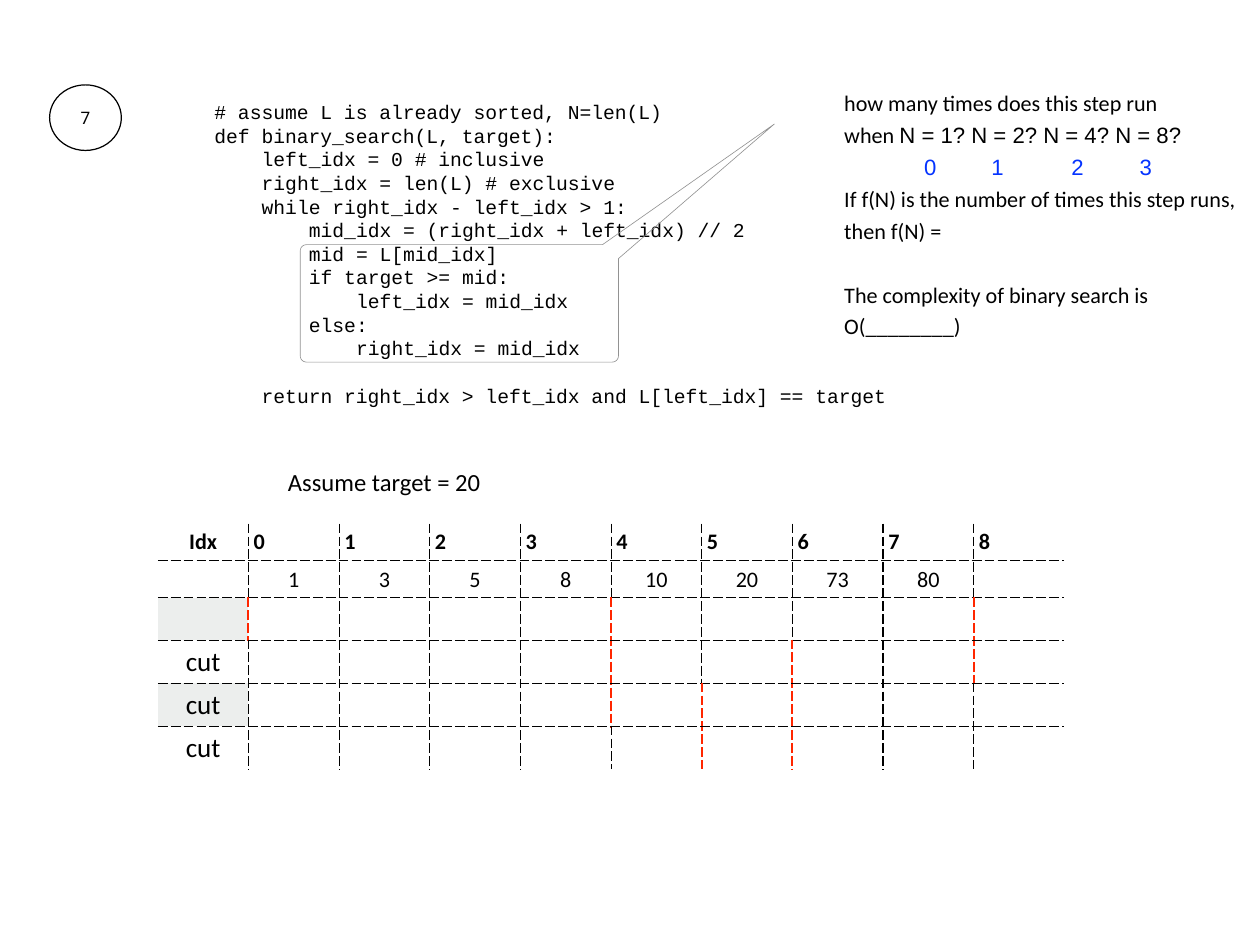
import math
import pptx
import pptx.dml.color
import pptx.enum.shapes
import pptx.enum.text
import pptx.oxml
import pptx.oxml.ns
import pptx.util

Pt = pptx.util.Pt
ALIGN = pptx.enum.text.PP_ALIGN
MIDDLE = pptx.enum.text.MSO_ANCHOR.MIDDLE
TOP = pptx.enum.text.MSO_ANCHOR.TOP

# Content
NUMBER = "7"
# (indent level, code, blank lines before)
CODE = [
    (0, "# assume L is already sorted, N=len(L)", 0),
    (0, "def binary_search(L, target):", 0),
    (1, "left_idx = 0 # inclusive", 0),
    (1, "right_idx = len(L) # exclusive", 0),
    (1, "while right_idx - left_idx > 1:", 0),
    (2, "mid_idx = (right_idx + left_idx) // 2", 0),
    (2, "mid = L[mid_idx]", 0),
    (2, "if target >= mid:", 0),
    (3, "left_idx = mid_idx", 0),
    (2, "else:", 0),
    (3, "right_idx = mid_idx", 0),
    (1, "return right_idx > left_idx and L[left_idx] == target", 1),
]
# (runs as (text, font key, colour key), space before)
QUESTIONS = [
    ([("how many times does this step run", "body", "ink")], 0),
    ([("when ", "body", "ink"), ("N = 1? N = 2? N = 4? N = 8?", "sans", "ink")], 0),
    ([("\t0\t1\t2\t3", "sans", "answer")], 0),
    ([("If f(N) is the number of times this step runs, then f(N) =", "body", "ink")], 0),
    ([("The complexity of binary search is", "body", "ink")], 26),
    ([("O(________)", "body", "ink")], 0),
]
ANSWER_TABS = [65, 119.5, 184.5, 240]
CAPTION = "Assume target = 20"
GRID = [
    ["Idx", "0", "1", "2", "3", "4", "5", "6", "7", "8"],
    ["", "1", "3", "5", "8", "10", "20", "73", "80", ""],
    [""] * 10,
    ["cut"] + [""] * 9,
    ["cut"] + [""] * 9,
    ["cut"] + [""] * 9,
]
# Index positions marked in red: left, middle and right of each step
CUTS = {2: {0, 4, 8}, 3: {4, 6, 8}, 4: {4, 5, 6}, 5: {5, 6}}
SHADED_ROWS = {2, 4}

THEME = {
    "ink": "000000", "answer": "0433FF", "cut": "FF2600",
    "callout": "929292", "shade": "ECEEED",
    "body": "Calibri", "sans": "Arial", "code": "Courier New", "badge": "Roboto",
    "badge_size": 14, "code_size": 16, "text_size": 18, "caption_size": 20, "cut_size": 22,
}
INSET = 4.3
CODE_PITCH = 19.2
CODE_INDENT = 38.4

prs = pptx.Presentation()
prs.slide_width, prs.slide_height = Pt(1024), Pt(768)
s = prs.slides.add_slide(prs.slide_layouts[6])


def rgb(key):
    return pptx.dml.color.RGBColor.from_string(THEME[key])


def add_run(p, text, font, size, colour="ink", bold=False):
    r = p.add_run()
    r.text = text
    for name, value in {"name": THEME[font], "size": Pt(THEME[size]), "bold": bold}.items():
        setattr(r.font, name, value)
    r.font.color.rgb = rgb(colour)


def set_frame(tf, wrap=True, anchor=MIDDLE, inset=INSET):
    for name, value in {"word_wrap": wrap, "vertical_anchor": anchor}.items():
        setattr(tf, name, value)
    for side in ("left", "right", "top", "bottom"):
        setattr(tf, f"margin_{side}", Pt(inset))


def add_text(left, top, width, height, **frame):
    tf = s.shapes.add_textbox(Pt(left), Pt(top), Pt(width), Pt(height)).text_frame
    set_frame(tf, **frame)
    return tf


def paragraphs(tf, items):
    for i, item in enumerate(items):
        yield (tf.add_paragraph() if i else tf.paragraphs[0]), item


def outline_only(sp, colour, width):
    sp.shadow.inherit = False
    sp.fill.background()
    sp.line.color.rgb = rgb(colour)
    sp.line.width = Pt(width)


def add_border(cell, side, colour, width):
    cell._tc.get_or_add_tcPr().append(pptx.oxml.parse_xml(
        f'<a:ln{side} {pptx.oxml.ns.nsdecls("a")} w="{Pt(width)}" cap="flat" cmpd="sng">'
        f'<a:solidFill><a:srgbClr val="{THEME[colour]}"/></a:solidFill>'
        f'<a:prstDash val="dash"/></a:ln{side}>'))


# Number badge
badge = s.shapes.add_shape(pptx.enum.shapes.MSO_SHAPE.OVAL, Pt(40.3), Pt(69), Pt(58.3), Pt(53.3))
outline_only(badge, "ink", 1)
set_frame(badge.text_frame, inset=2)
p = badge.text_frame.paragraphs[0]
p.alignment = ALIGN.CENTER
add_run(p, NUMBER, "badge", "badge_size")

# Code listing
tf = add_text(170, 78.5, 602.6, 255)
for p, (level, line, gap) in paragraphs(tf, CODE):
    p.line_spacing = Pt(CODE_PITCH)
    p.space_before = Pt(gap * CODE_PITCH)
    p._p.get_or_add_pPr().set("marL", str(Pt(level * CODE_INDENT)))
    add_run(p, line, "code", "code_size")

# Callout around the loop step, its tail leaving the top right corner
LEFT, UPPER, RIGHT, LOWER, RADIUS = 244, 198.9, 502.6, 294.3, 5


def corner(cx, cy, start):
    angles = [math.radians(start - 15 * i) for i in range(7)]
    return [(cx + RADIUS * math.cos(a), cy - RADIUS * math.sin(a)) for a in angles]


tip = (629.3, 100.8)
# Corners run anticlockwise on screen, reversed from the arc direction
outline = [(489.6, UPPER)]
for cx, cy, start in [(LEFT + RADIUS, UPPER + RADIUS, 180),
                      (LEFT + RADIUS, LOWER - RADIUS, 270),
                      (RIGHT - RADIUS, LOWER - RADIUS, 360)]:
    outline += corner(cx, cy, start)[::-1]
outline.append((RIGHT, 210.2))
builder = s.shapes.build_freeform(Pt(tip[0]), Pt(tip[1]))
builder.add_line_segments([(Pt(x), Pt(y)) for x, y in outline], close=True)
outline_only(builder.convert_to_shape(), "callout", 0.5)

# Questions
tf = add_text(681.8, 64.1, 344.2, 303.8, anchor=TOP)
for p, (runs, gap) in paragraphs(tf, QUESTIONS):
    p.line_spacing = 1.2
    p.space_before = Pt(gap)
    for text, font, colour in runs:
        add_run(p, text, font, "text_size", colour)
    if "\t" in runs[0][0]:
        stops = "".join(f'<a:tab pos="{Pt(x)}" algn="l"/>' for x in ANSWER_TABS)
        p._p.get_or_add_pPr().append(pptx.oxml.parse_xml(
            f'<a:tabLst {pptx.oxml.ns.nsdecls("a")}>{stops}</a:tabLst>'))

# Search table
ROW_HEIGHTS = [30, 30] + [34.3] * 4
COL_WIDTH = 73.7
rows, cols = len(GRID), len(GRID[0])
table = s.shapes.add_table(rows, cols, Pt(128.2), Pt(425.5),
                           Pt(COL_WIDTH * cols), Pt(sum(ROW_HEIGHTS))).table
table.first_row = table.horz_banding = False
table._tbl.tblPr.find(pptx.oxml.ns.qn("a:tableStyleId")).text = "{2D5ABB26-0587-4C30-8999-92F81FD0307C}"
for column in table.columns:
    column.width = Pt(COL_WIDTH)
for i, values in enumerate(GRID):
    table.rows[i].height = Pt(ROW_HEIGHTS[i])
    for j, value in enumerate(values):
        cell = table.cell(i, j)
        set_frame(cell, wrap=True)
        # The left side of column j is index j - 1, the right side index j
        for side, index, inside in (("L", j - 1, j > 0), ("R", j, j < cols - 1)):
            if inside:
                is_cut = index in CUTS.get(i, ())
                add_border(cell, side, "cut" if is_cut else "ink", 2 if is_cut else 1)
        for side, inside in (("T", i > 0), ("B", i < rows - 1)):
            if inside:
                add_border(cell, side, "ink", 1)
        if j == 0 and i in SHADED_ROWS:
            cell.fill.solid()
            cell.fill.fore_color.rgb = rgb("shade")
        else:
            cell.fill.background()
        if value:
            p = cell.text_frame.paragraphs[0]
            p.alignment = ALIGN.LEFT if i == 0 and j else ALIGN.CENTER
            add_run(p, value, "body", "cut_size" if i > 1 else "text_size", bold=i == 0)

# Table caption
tf = add_text(227.5, 375.8, 169.2, 31, wrap=False)
p = tf.paragraphs[0]
p.alignment = ALIGN.CENTER
add_run(p, CAPTION, "body", "caption_size")

prs.save("out.pptx")
